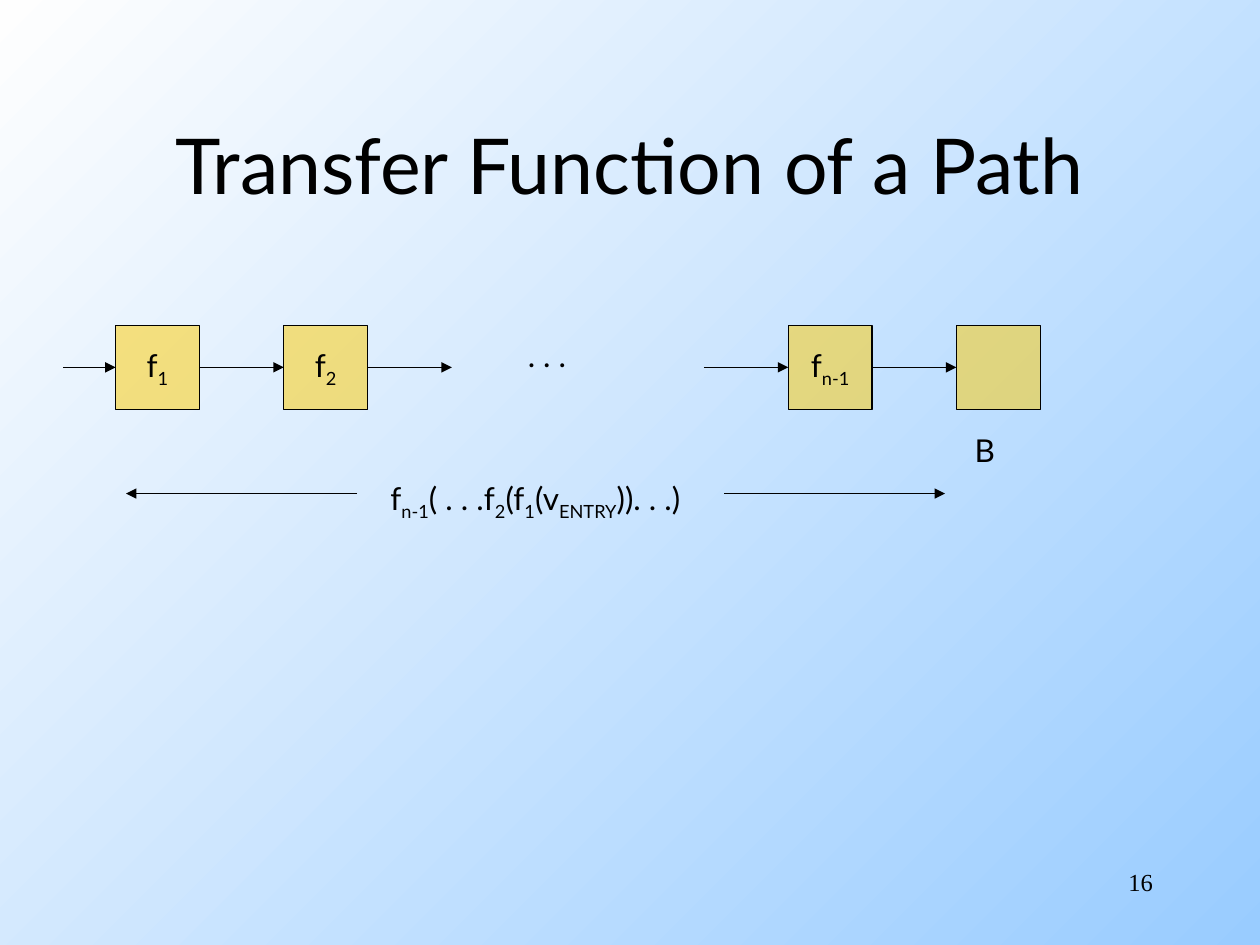
from dataclasses import dataclass

import pptx
import pptx.dml.color
import pptx.enum.shapes
import pptx.enum.text
import pptx.oxml
import pptx.oxml.ns
import pptx.util

Cm = pptx.util.Cm
Pt = pptx.util.Pt
ALIGN = pptx.enum.text.PP_ALIGN
ANCHOR = pptx.enum.text.MSO_ANCHOR


@dataclass(frozen=True)
class Theme:
    ink: str = "000000"
    box: str = "FFCC00"
    box_alpha: int = 50000
    background_start: str = "99CCFF"
    background_end: str = "FEFEFE"
    font: str = "Lato"
    number_font: str = "Times New Roman"
    title_size: int = 44
    body_size: int = 18
    number_size: int = 14
    line_width: float = 0.75
    subscript: str = "-25000"


THEME = Theme()
BOX_SIDE = 1.69
PITCH = 3.39
FIRST_LEFT = 2.33
BOX_TOP = 6.56
FLOW_Y = BOX_TOP + BOX_SIDE / 2
SPAN_Y = 9.95


def rgb(value):
    return pptx.dml.color.RGBColor.from_string(value)


def add_xml(parent, tag, **attributes):
    element = pptx.oxml.ns.qn(tag)
    child = parent.makeelement(element, attributes)
    parent.append(child)
    return child


def column_left(column):
    return FIRST_LEFT + column * PITCH


def format_run(run, size, font=THEME.font):
    run.font.name = font
    run.font.size = Pt(size)
    run.font.color.rgb = rgb(THEME.ink)


def write_formula(text_frame, *pieces):
    paragraph = text_frame.paragraphs[0]
    for index, piece in enumerate(pieces):
        run = paragraph.add_run()
        run.text = piece
        format_run(run, THEME.body_size)
        if index % 2:
            run.font._element.set("baseline", THEME.subscript)
    return paragraph


def set_background(slide):
    fill = slide.background.fill
    fill.gradient()
    fill.gradient_angle = 135
    colors = (THEME.background_start, THEME.background_end)
    for stop, position, color in zip(fill.gradient_stops, (0, 1), colors):
        stop.position = position
        stop.color.rgb = rgb(color)


def set_title(slide, text):
    title = slide.shapes.title
    title.left, title.top = Cm(1.9), Cm(1.7)
    title.width, title.height = Cm(21.6), Cm(3.18)
    title.text_frame.text = text
    title.text_frame.vertical_anchor = ANCHOR.MIDDLE
    paragraph = title.text_frame.paragraphs[0]
    paragraph.alignment = ALIGN.CENTER
    format_run(paragraph.runs[0], THEME.title_size)


def add_block(slide, column, *pieces):
    shape = slide.shapes.add_shape(
        pptx.enum.shapes.MSO_SHAPE.RECTANGLE,
        Cm(column_left(column)), Cm(BOX_TOP), Cm(BOX_SIDE), Cm(BOX_SIDE))
    shape.shadow.inherit = False
    shape.fill.solid()
    shape.fill.fore_color.rgb = rgb(THEME.box)
    color = shape._element.spPr.find(".//" + pptx.oxml.ns.qn("a:srgbClr"))
    add_xml(color, "a:alpha", val=str(THEME.box_alpha))
    shape.line.color.rgb = rgb(THEME.ink)
    shape.line.width = Pt(THEME.line_width)
    shape.text_frame.word_wrap = False
    shape.text_frame.vertical_anchor = ANCHOR.MIDDLE
    write_formula(shape.text_frame, *pieces).alignment = ALIGN.CENTER


def add_arrow(slide, start, end, y):
    arrow = slide.shapes.add_connector(
        pptx.enum.shapes.MSO_CONNECTOR.STRAIGHT, Cm(start), Cm(y), Cm(end), Cm(y))
    arrow.line.color.rgb = rgb(THEME.ink)
    arrow.line.width = Pt(THEME.line_width)
    add_xml(arrow.line._get_or_add_ln(), "a:tailEnd", type="triangle")
    add_xml(arrow._element.spPr, "a:effectLst")


def add_label(slide, left, top, width, height, *pieces):
    text_frame = slide.shapes.add_textbox(
        Cm(left), Cm(top), Cm(width), Cm(height)).text_frame
    text_frame.word_wrap = False
    text_frame.auto_size = pptx.enum.text.MSO_AUTO_SIZE.SHAPE_TO_FIT_TEXT
    write_formula(text_frame, *pieces)


def add_slide_number(slide, number):
    text_frame = slide.shapes.add_textbox(
        Cm(18.2), Cm(17.36), Cm(5.29), Cm(1.27)).text_frame
    text_frame.word_wrap = True
    text_frame.text = number
    paragraph = text_frame.paragraphs[0]
    paragraph.alignment = ALIGN.RIGHT
    format_run(paragraph.runs[0], THEME.number_size, THEME.number_font)


def main():
    presentation = pptx.Presentation()
    presentation.slide_width, presentation.slide_height = Cm(25.4), Cm(19.05)
    slide = presentation.slides.add_slide(presentation.slide_layouts[5])
    set_background(slide)
    set_title(slide, "Transfer Function of a Path")

    blocks = {0: ("f", "1"), 1: ("f", "2"), 4: ("f", "n-1"), 5: ()}
    for column, pieces in blocks.items():
        add_block(slide, column, *pieces)
    add_label(slide, 19.4, 8.56, 0.91, 1.02, "B")

    add_arrow(slide, 1.27, FIRST_LEFT, FLOW_Y)
    for column in (0, 1, 3, 4):
        add_arrow(slide, column_left(column) + BOX_SIDE, column_left(column + 1), FLOW_Y)
    add_label(slide, 10.39, 6.65, 1.35, 1.02, ". . .")

    add_label(slide, 7.62, 9.53, 6.58, 1.12,
              "f", "n-1", "( . . .f", "2", "(f", "1", "(v", "ENTRY", ")). . .)")
    add_arrow(slide, 7.2, 2.54, SPAN_Y)
    add_arrow(slide, 14.6, 19.05, SPAN_Y)
    add_slide_number(slide, "16")
    presentation.save("out.pptx")


if __name__ == "__main__":
    main()
